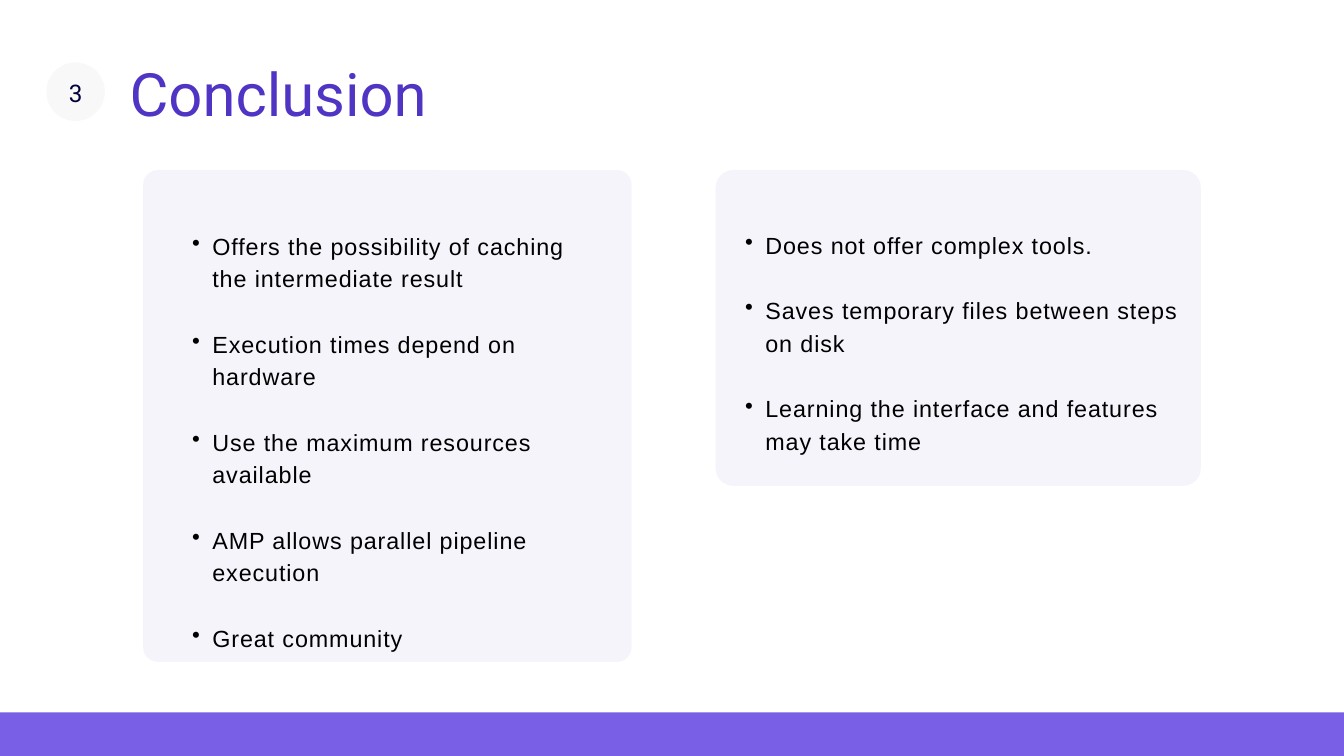
from dataclasses import dataclass

from lxml.etree import SubElement
from pptx import Presentation
from pptx.dml.color import RGBColor
from pptx.enum.shapes import MSO_SHAPE as Preset
from pptx.enum.text import MSO_ANCHOR as Anchor, PP_ALIGN as Align
from pptx.oxml.ns import qn
from pptx.util import Inches, Pt

# The grid has 20 columns and 11.25 rows of one inch each
COLUMNS, ROWS = 20, 11.25
CELL = Inches(1)
VIOLET, LILAC, NAVY, BLACK, MIST = "5034C4", "795FE6", "01003B", "000000", "F8F8F8"
LINE_PITCH = Pt(35)


@dataclass(frozen=True)
class Box:
    column: float
    row: float
    columns: float
    rows: float

    def lengths(self) -> list[int]:
        return [round(n * CELL) for n in (self.column, self.row, self.columns, self.rows)]


@dataclass(frozen=True)
class Card:
    panel: Box
    corner: float  # radius in grid cells
    body: Box
    points: tuple[str, ...]


CARDS = (
    Card(Box(2.13, 2.53, 7.27, 7.32), 0.22, Box(2.57, 3.38, 6.39, 6.21), (
        "Offers the possibility of caching the intermediate result",
        "Execution times depend on hardware",
        "Use the maximum resources available",
        "AMP allows parallel pipeline execution",
        "Great community",
    )),
    Card(Box(10.65, 2.53, 7.22, 4.7), 0.26, Box(10.8, 3.37, 6.83, 3.37), (
        "Does not offer complex tools.",
        "Saves temporary files between steps on disk",
        "Learning the interface and features may take time",
    )),
)


def color(value: str) -> RGBColor:
    return RGBColor.from_string(value)


def add_filled(slide, preset, box: Box, fill: str):
    shape = slide.shapes.add_shape(preset, *box.lengths())
    shape.shadow.inherit = False
    shape.fill.solid()
    shape.fill.fore_color.rgb = color(fill)
    shape.line.fill.background()
    return shape


def add_text_frame(slide, box: Box, inset: float = 0):
    frame = slide.shapes.add_textbox(*box.lengths()).text_frame
    frame.word_wrap = True
    frame.margin_left = frame.margin_right = Inches(inset)
    frame.margin_top = frame.margin_bottom = Inches(inset)
    return frame


def write(paragraph, text: str, font: str, size: float, ink: str, pitch) -> None:
    paragraph.text = text
    paragraph.line_spacing = pitch
    paragraph.font.name = font
    paragraph.font.size = Pt(size)
    paragraph.font.color.rgb = color(ink)


def add_bullet(paragraph) -> None:
    paragraph.level = 1
    properties = paragraph._p.get_or_add_pPr()
    properties.set("marL", str(Inches(0.59)))
    properties.set("indent", str(Inches(-0.3)))
    bullet = properties.makeelement(qn("a:buChar"), {"char": "•"})
    properties.find(qn("a:defRPr")).addprevious(bullet)


def add_card(slide, card: Card) -> None:
    # Tinted panel, 5 % opaque
    panel = add_filled(slide, Preset.ROUNDED_RECTANGLE, card.panel, VIOLET)
    panel.adjustments[0] = card.corner / min(card.panel.columns, card.panel.rows)
    tint = panel.fill._xPr.find(qn("a:solidFill"))[0]
    SubElement(tint, qn("a:alpha"), val="5000")

    # Bulleted points, one line apart
    frame = add_text_frame(slide, card.body)
    for index, point in enumerate(card.points):
        paragraph = frame.add_paragraph() if index else frame.paragraphs[0]
        write(paragraph, point, "Arial", 25, BLACK, LINE_PITCH)
        paragraph.space_before = LINE_PITCH if index else Pt(0)
        add_bullet(paragraph)
        for run in paragraph.runs:
            run._r.get_or_add_rPr().set("spc", "100")


def main() -> None:
    deck = Presentation()
    deck.slide_width, deck.slide_height = round(COLUMNS * CELL), round(ROWS * CELL)
    slide = deck.slides.add_slide(deck.slide_layouts[6])

    # Footer band, bleeding over the slide's edges
    add_filled(slide, Preset.RECTANGLE, Box(-0.16, 10.6, 20.32, 3.31), LILAC)

    # Section number
    add_filled(slide, Preset.OVAL, Box(0.69, 0.93, 0.87, 0.87), MIST)
    number = add_text_frame(slide, Box(0.77, 0.96, 0.71, 0.76), inset=0.06)
    number.vertical_anchor = Anchor.MIDDLE
    write(number.paragraphs[0], "3", "Roboto", 26, NAVY, Pt(36.4))
    number.paragraphs[0].alignment = Align.CENTER

    for card in CARDS:
        add_card(slide, card)

    # Title
    title = add_text_frame(slide, Box(1.93, 0.85, 14.93, 1.06))
    write(title.paragraphs[0], "Conclusion", "Roboto", 64, VIOLET, Pt(76.8))

    deck.save("out.pptx")


if __name__ == "__main__":
    main()
